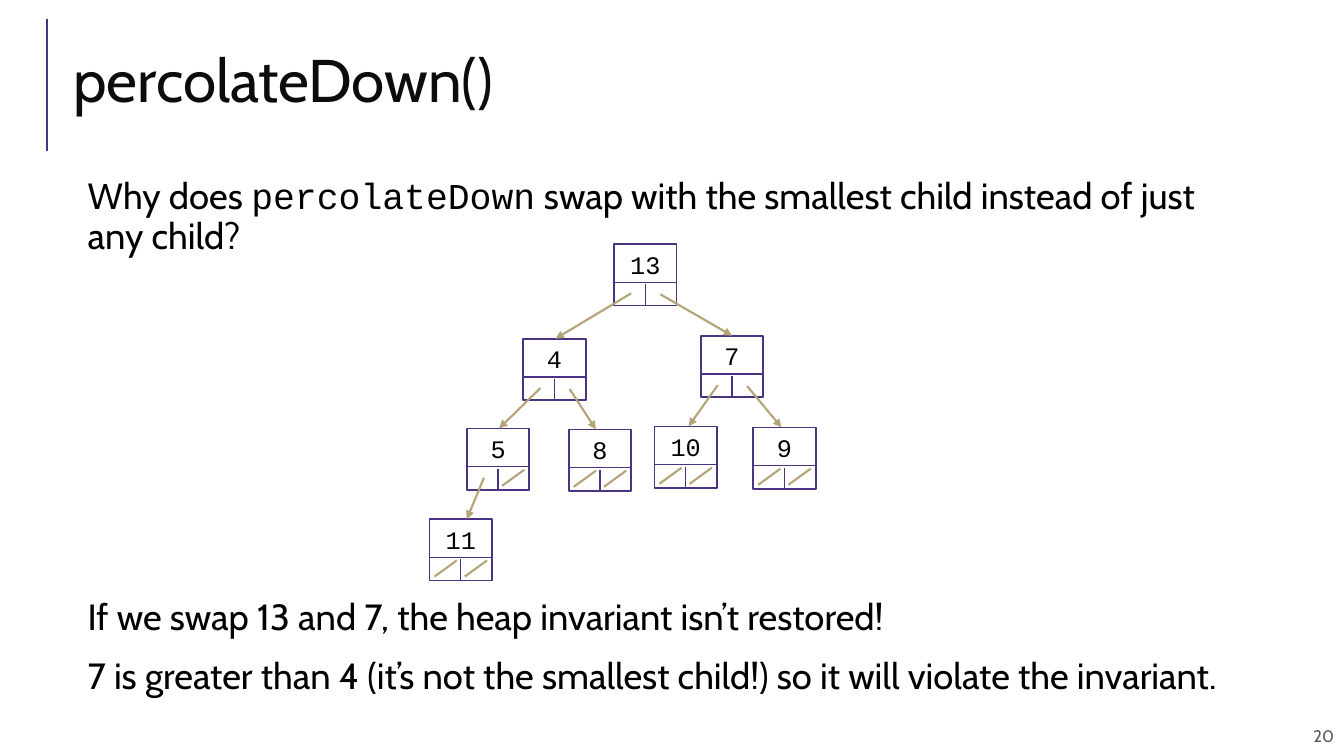
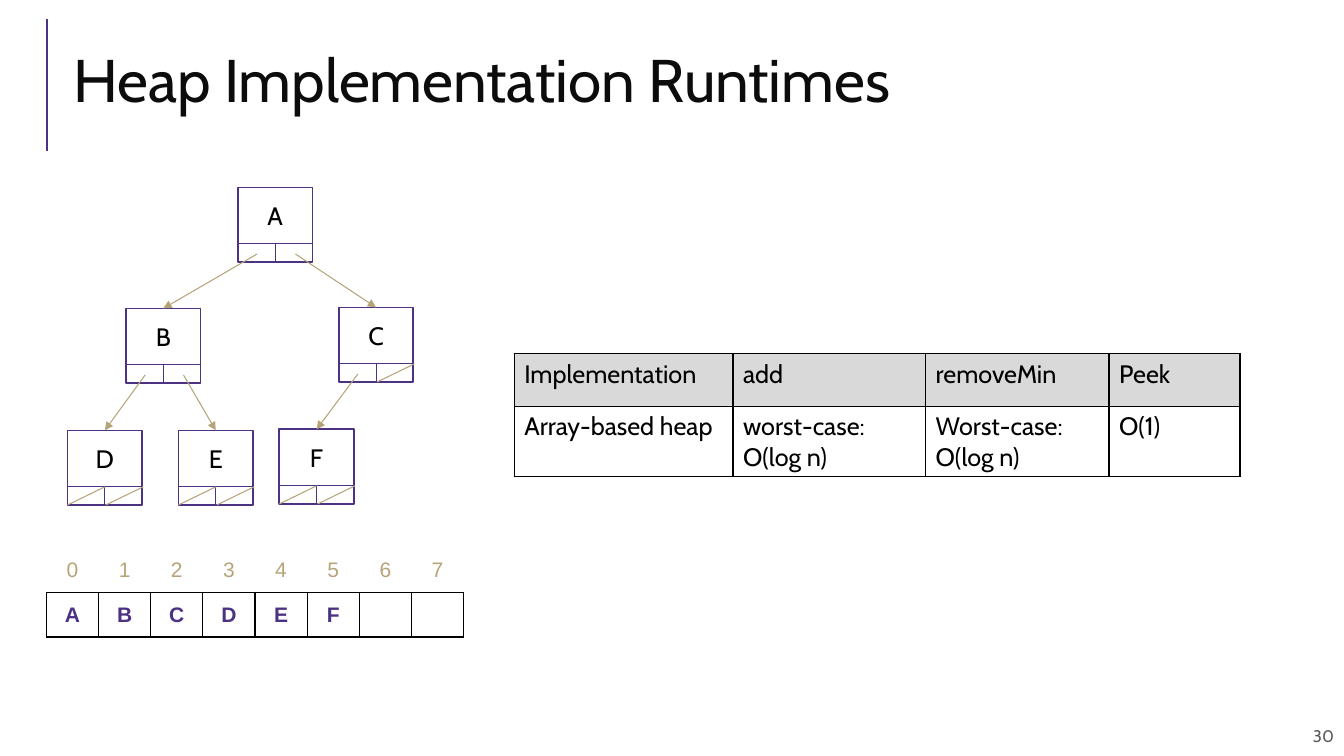
from lxml.etree import SubElement
from pptx import Presentation
from pptx.dml.color import RGBColor
from pptx.enum.shapes import MSO_CONNECTOR, MSO_SHAPE
from pptx.enum.text import MSO_ANCHOR, PP_ALIGN
from pptx.oxml.ns import qn
from pptx.util import Inches, Pt

COLORS = {
    "purple": "4C3282",
    "gold": "B6A479",
    "title": "0C0C0C",
    "text": "000000",
    "page": "595959",
    "header": "D9D9D9",
    "white": "FFFFFF",
}
MARGINS = ("margin_left", "margin_top", "margin_right", "margin_bottom")
CODE_FONT = "Courier New"

STYLES = {
    "title": {
        "frame": {"vertical_anchor": MSO_ANCHOR.MIDDLE},
        "margins": (0.1, 0.05, 0.1, 0.05),
        "paragraph": {"line_spacing": 0.8},
        "font": {"name": "Cabin", "size": Pt(43)},
        "color": "title",
    },
    "page": {
        "frame": {"vertical_anchor": MSO_ANCHOR.MIDDLE},
        "margins": (0.1, 0.1, 0.1, 0.1),
        "paragraph": {"alignment": PP_ALIGN.RIGHT},
        "font": {"name": "Cabin", "size": Pt(12)},
        "color": "page",
    },
    "question": {
        "frame": {},
        "margins": (0.05, 0.05, 0.05, 0.05),
        "paragraph": {"line_spacing": 0.9},
        "font": {"name": "Cabin", "size": Pt(26)},
        "color": "text",
    },
    "answer": {
        "frame": {},
        "margins": (0.1, 0.1, 0.1, 0.1),
        "paragraph": {"line_spacing": 0.9, "space_before": Pt(14)},
        "font": {"name": "Cabin", "size": Pt(26)},
        "color": "text",
    },
    "number node": {
        "frame": {"vertical_anchor": MSO_ANCHOR.TOP},
        "margins": (0, 0.05, 0, 0),
        "paragraph": {"alignment": PP_ALIGN.CENTER},
        "font": {"name": CODE_FONT, "size": Pt(18)},
        "color": "text",
    },
    "letter node": {
        "frame": {"vertical_anchor": MSO_ANCHOR.TOP},
        "margins": (0, 0.13, 0, 0),
        "paragraph": {"alignment": PP_ALIGN.CENTER},
        "font": {"name": "Cabin", "size": Pt(18)},
        "color": "text",
    },
    "index": {
        "frame": {"vertical_anchor": MSO_ANCHOR.MIDDLE},
        "margins": (0.08, 0.04, 0.08, 0.04),
        "paragraph": {"alignment": PP_ALIGN.CENTER},
        "font": {"name": "Arial", "size": Pt(15)},
        "color": "gold",
    },
    "element": {
        "frame": {"vertical_anchor": MSO_ANCHOR.MIDDLE},
        "margins": (0.08, 0.04, 0.08, 0.04),
        "paragraph": {"alignment": PP_ALIGN.CENTER},
        "font": {"name": "Arial", "size": Pt(15), "bold": True},
        "color": "purple",
    },
    "runtime": {
        "frame": {"vertical_anchor": MSO_ANCHOR.TOP},
        "margins": (0.1, 0.05, 0.1, 0.05),
        "paragraph": {"alignment": PP_ALIGN.LEFT},
        "font": {"name": "Cabin", "size": Pt(18)},
        "color": "text",
    },
}


def write(holder, frame, paragraphs, style):
    for name, value in style["frame"].items():
        setattr(holder, name, value)
    for name, value in zip(MARGINS, style["margins"]):
        setattr(holder, name, Inches(value))
    frame.word_wrap = True
    for number, text in enumerate(paragraphs):
        paragraph = frame.add_paragraph() if number else frame.paragraphs[0]
        for name, value in style["paragraph"].items():
            setattr(paragraph, name, value)
        for position, part in enumerate(text.split("`")):
            if not part:
                continue
            run = paragraph.add_run()
            run.text = part
            for name, value in style["font"].items():
                setattr(run.font, name, value)
            if position % 2:
                run.font.name = CODE_FONT
            run.font.color.rgb = RGBColor.from_string(COLORS[style["color"]])


def draw_line(slide, start, end, color, width, arrow=False):
    ends = [Inches(value) for value in (*start, *end)]
    line = slide.shapes.add_connector(MSO_CONNECTOR.STRAIGHT, *ends)
    line.line.color.rgb = RGBColor.from_string(COLORS[color])
    line.line.width = Pt(width)
    if arrow:
        SubElement(line.line._get_or_add_ln(), qn("a:tailEnd"), type="triangle")
    SubElement(line._element.spPr, qn("a:effectLst"))


deck = Presentation()
deck.slide_width, deck.slide_height = Inches(13.33), Inches(7.5)

pages = [
    {
        "title": "percolateDown()",
        "number": "20",
        "texts": [
            ("question", (0.82, 1.72, 11.35, 0.89), [
                "Why does `percolateDown` swap with the smallest child instead of just any child?",
            ]),
            ("answer", (0.77, 5.84, 11.95, 1.19), [
                "If we swap 13 and 7, the heap invariant isn’t restored!",
                "7 is greater than 4 (it’s not the smallest child!) so it will violate the invariant.",
            ]),
        ],
        "tree": {
            "style": "number node", "size": 0.62, "height": 0.61,
            "divider": 0.38, "divider_width": 1, "tick": 0.4,
            "pointers": {"left": (0.17, 0.49), "right": (0.46, 0.5)},
            "empty": {"left": (0.05, 0.27), "right": (0.35, 0.57)},
            "empty_rows": (0.57, 0.41), "pointer_width": 1.5,
        },
        "nodes": {
            "13": (6.09, 2.42, None, None, 0),
            "4": (5.19, 3.36, "13", "left", 0.32),
            "7": (6.95, 3.33, "13", "right", 0.31),
            "5": (4.63, 4.25, "4", "left", 0.32),
            "8": (5.64, 4.26, "4", "right", 0.27),
            "10": (6.49, 4.23, "7", "left", 0.34),
            "9": (7.47, 4.24, "7", "right", 0.28),
            "11": (4.26, 5.15, "5", "left", 0.37),
        },
        "tables": [],
    },
    {
        "title": "Heap Implementation Runtimes",
        "number": "30",
        "texts": [],
        "tree": {
            "style": "letter node", "size": 0.74, "height": 0.74,
            "divider": 0.56, "divider_width": 0.75, "tick": 0.56,
            "pointers": {"left": (0.19, 0.66), "right": (0.57, 0.66)},
            "empty": {"left": (0, 0.37), "right": (0.38, 0.75)},
            "empty_rows": (0.74, 0.56), "pointer_width": 0.75,
        },
        "nodes": {
            "A": (2.36, 1.86, None, None, 0),
            "B": (1.25, 3.06, "A", "left", 0.37),
            "C": (3.36, 3.05, "A", "right", 0.37),
            "D": (0.67, 4.27, "B", "left", 0.37),
            "E": (1.77, 4.27, "B", "right", 0.37),
            "F": (2.77, 4.26, "C", "left", 0.37),
        },
        "tables": [
            {
                "corner": (0.46, 5.44),
                "columns": [4.14 / 8] * 8,
                "rows": [0.44, 0.44],
                "styles": ["index", "element"],
                "fills": ["white", "white"],
                "borders": ["B", "LRTB"],
                "cells": ["01234567", [*"ABCDEF", "", ""]],
            },
            {
                "corner": (5.1, 3.51),
                "columns": [2.17, 1.91, 1.82, 1.3],
                "rows": [0.52, 0.7],
                "styles": ["runtime", "runtime"],
                "fills": ["header", "white"],
                "borders": ["LRTB", "LRTB"],
                "cells": [
                    ["Implementation", "add", "removeMin", "Peek"],
                    ["Array-based heap", "worst-case: O(log n)", "Worst-case:\nO(log n)", "O(1)"],
                ],
            },
        ],
    },
]

for page in pages:
    slide = deck.slides.add_slide(deck.slide_layouts[6])
    draw_line(slide, (0.47, 1.5), (0.47, 0.19), "purple", 1.5)
    shared_texts = [
        ("page", (8.65, 7.1, 4.68, 0.4), [page["number"]]),
        ("title", (0.63, 0.29, 12.23, 1.11), [page["title"]]),
    ]
    for style, box, paragraphs in shared_texts + page["texts"]:
        frame = slide.shapes.add_textbox(*map(Inches, box)).text_frame
        write(frame, frame, paragraphs, STYLES[style])

    tree, nodes = page["tree"], page["nodes"]
    width, height = tree["size"], tree["height"]
    children = {(parent, side) for _, _, parent, side, _ in nodes.values()}
    for label, (left, top, *_) in nodes.items():
        node = slide.shapes.add_shape(
            MSO_SHAPE.RECTANGLE, *map(Inches, (left, top, width, height)))
        node.shadow.inherit = False
        node.fill.background()
        node.line.color.rgb = RGBColor.from_string(COLORS["purple"])
        node.line.width = Pt(1.25)
        write(node.text_frame, node.text_frame, [label], STYLES[tree["style"]])
        divider, middle = top + tree["divider"], left + width / 2
        draw_line(slide, (left, divider), (left + width, divider),
                  "purple", tree["divider_width"])
        draw_line(slide, (middle, top + height), (middle, top + tree["tick"]),
                  "purple", tree["divider_width"])
        low, high = tree["empty_rows"]
        for side, (start, end) in tree["empty"].items():
            if (label, side) not in children:
                draw_line(slide, (left + start, top + low), (left + end, top + high),
                          "gold", tree["pointer_width"])

    for left, top, parent, side, entry in nodes.values():
        if parent:
            across, down = tree["pointers"][side]
            parent_left, parent_top = nodes[parent][:2]
            draw_line(slide, (parent_left + across, parent_top + down), (left + entry, top),
                      "gold", tree["pointer_width"], arrow=True)

    for grid in page["tables"]:
        extent = (*grid["corner"], sum(grid["columns"]), sum(grid["rows"]))
        table = slide.shapes.add_table(
            len(grid["rows"]), len(grid["columns"]), *map(Inches, extent)).table
        table.first_row = table.horz_banding = False
        for column, column_width in zip(table.columns, grid["columns"]):
            column.width = Inches(column_width)
        for number, row in enumerate(table.rows):
            row.height = Inches(grid["rows"][number])
            for cell, text in zip(row.cells, grid["cells"][number]):
                write(cell, cell.text_frame, text.split("\n"), STYLES[grid["styles"][number]])
                properties = cell._tc.get_or_add_tcPr()
                for edge in "LRTB":
                    border = SubElement(properties, qn(f"a:ln{edge}"), w=str(Pt(1)))
                    if edge in grid["borders"][number]:
                        paint = SubElement(border, qn("a:solidFill"))
                        SubElement(paint, qn("a:srgbClr"), val=COLORS["text"])
                    else:
                        SubElement(border, qn("a:noFill"))
                cell.fill.solid()
                cell.fill.fore_color.rgb = RGBColor.from_string(COLORS[grid["fills"][number]])

deck.save("out.pptx")
